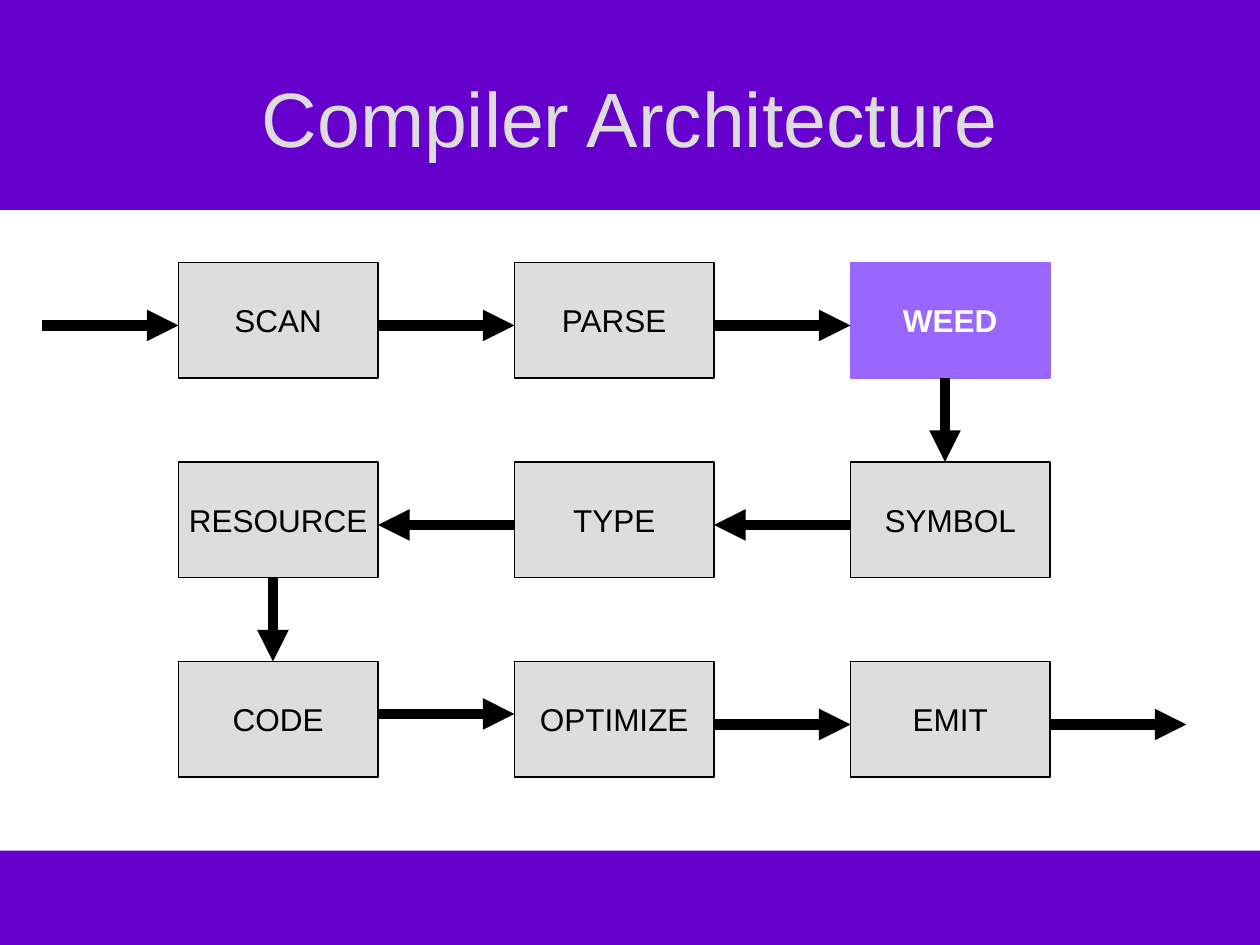
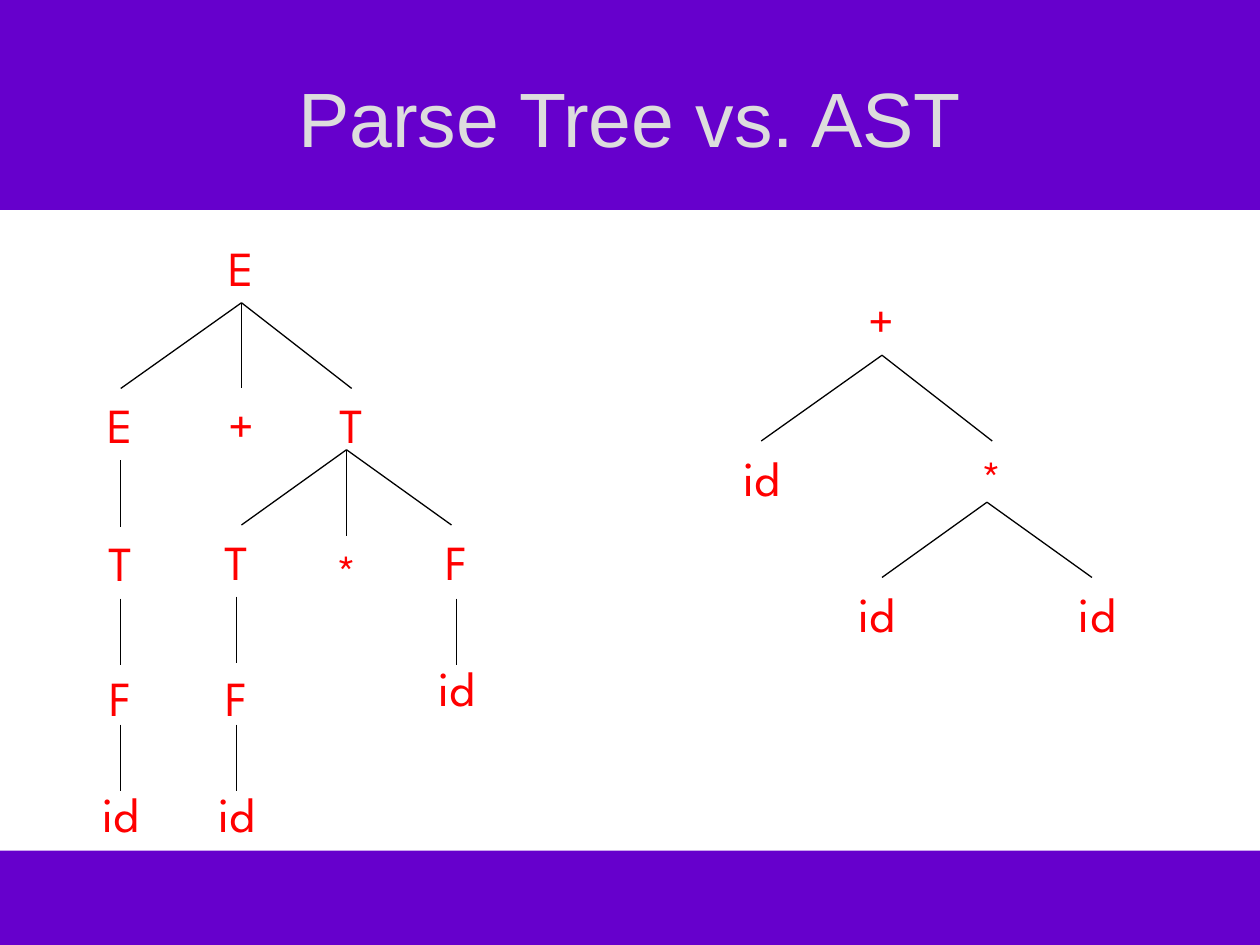
from dataclasses import dataclass

from lxml.etree import SubElement
from pptx import Presentation
from pptx.dml.color import RGBColor
from pptx.enum.shapes import MSO_CONNECTOR, MSO_SHAPE
from pptx.enum.text import MSO_ANCHOR, MSO_AUTO_SIZE, PP_ALIGN
from pptx.oxml.ns import qn
from pptx.util import Pt


@dataclass(frozen=True)
class Theme:
    band: str = "6600CC"
    title: str = "DDDDDD"
    stage: str = "DDDDDD"
    current: str = "9966FF"
    current_text: str = "FFFFFF"
    ink: str = "000000"
    symbol: str = "FF0000"
    font: str = "Arial"
    symbol_font: str = "League Spartan"
    title_size: float = 44
    stage_size: float = 18
    symbol_size: float = 28
    thin: float = 0.75
    thick: float = 6


theme = Theme()


def write_text(frame, text, *, size, color, font=theme.font, bold=False,
               anchor=MSO_ANCHOR.MIDDLE, wrap=True, before=0):
    frame.word_wrap = wrap
    frame.vertical_anchor = anchor
    para = frame.paragraphs[0]
    para.alignment = PP_ALIGN.CENTER
    para.space_before = Pt(before)
    span = para.add_run()
    span.text = text
    span.font.name = font
    span.font.size = Pt(size)
    span.font.bold = bold
    span.font.color.rgb = RGBColor.from_string(color)


def draw_line(shapes, start, end, width, arrow=False):
    line = shapes.add_connector(MSO_CONNECTOR.STRAIGHT, *map(Pt, start + end))
    line.line.width = Pt(width)
    line.line.color.rgb = RGBColor.from_string(theme.ink)
    if arrow:
        SubElement(line.line._get_or_add_ln(), qn("a:tailEnd"), type="triangle")
    SubElement(line._element.spPr, qn("a:effectLst"))


deck = Presentation()
deck.slide_width, deck.slide_height = Pt(720), Pt(540)

pages = []
for title in ("Compiler Architecture", "Parse Tree vs. AST"):
    page = deck.slides.add_slide(deck.slide_layouts[6])
    for top, height in ((486, 54), (0, 120)):
        band = page.shapes.add_shape(MSO_SHAPE.RECTANGLE, 0, Pt(top), Pt(720), Pt(height))
        band.shadow.inherit = False
        band.fill.solid()
        band.fill.fore_color.rgb = RGBColor.from_string(theme.band)
        band.line.fill.background()
    box = page.shapes.add_textbox(Pt(36), Pt(21.6), Pt(648), Pt(90))
    write_text(box.text_frame, title, size=theme.title_size, color=theme.title)
    pages.append(page)
architecture, trees = pages

stage_rows = (
    ("SCAN", "PARSE", "WEED"),
    ("RESOURCE", "TYPE", "SYMBOL"),
    ("CODE", "OPTIMIZE", "EMIT"),
)
left, top, width, height = 102, 150, 114, 66
column_step, row_step = 192, 114
gap = column_step - width

for row, names in enumerate(stage_rows):
    for column, name in enumerate(names):
        current = name == "WEED"
        box = architecture.shapes.add_shape(
            MSO_SHAPE.RECTANGLE, Pt(left + column * column_step),
            Pt(top + row * row_step), Pt(width), Pt(height))
        box.shadow.inherit = False
        box.fill.solid()
        box.fill.fore_color.rgb = RGBColor.from_string(theme.current if current else theme.stage)
        box.line.width = Pt(theme.thin)
        box.line.color.rgb = RGBColor.from_string(theme.current if current else theme.ink)
        write_text(box.text_frame, name, size=theme.stage_size, bold=current, wrap=False,
                   color=theme.current_text if current else theme.ink)

flows = ((186, (0, 1, 2), True), (300, (2, 1), False), (408, (1,), True), (414, (2, 3), True))
for y, gaps, rightward in flows:
    for index in gaps:
        ends = [(left - gap + index * column_step, y), (left + index * column_step, y)]
        start, end = ends if rightward else reversed(ends)
        draw_line(architecture.shapes, start, end, theme.thick, arrow=True)

for row, column in ((0, 2), (1, 0)):
    x = left + column * column_step + 54
    y = top + row * row_step + height
    draw_line(architecture.shapes, (x, y), (x, top + (row + 1) * row_step),
              theme.thick, arrow=True)

parse_nodes = (
    ("E", 120, 132, 36), ("E", 48, 222, 42), ("+", 120, 222, 36), ("T", 180, 222, 42),
    ("T", 42, 301, 54), ("F", 42, 378, 54), ("id", 42, 444, 54),
    ("T", 114, 300, 42), ("*", 180, 306, 36), ("F", 240, 300, 42),
    ("F", 108, 378, 54), ("id", 108, 444, 54), ("id", 234, 372, 54),
)
parse_branches = (
    ((138, 173), ((69, 222), (138, 222), (201, 222))),
    ((198, 257), ((138, 300), (198, 306), (258, 300))),
    ((69, 263), ((69, 301),)),
    ((69, 342), ((69, 380),)),
    ((69, 414), ((69, 452),)),
    ((135, 341), ((135, 379),)),
    ((135, 414), ((135, 452),)),
    ((261, 342), ((261, 380),)),
)
syntax_nodes = (
    ("+", 486, 162, 36), ("id", 414, 252, 42), ("*", 546, 252, 42),
    ("id", 480, 330, 42), ("id", 606, 330, 42),
)
syntax_branches = (
    ((504, 203), ((435, 252), (567, 252))),
    ((564, 287), ((504, 330), (624, 330))),
)

for nodes, branches in ((parse_nodes, parse_branches), (syntax_nodes, syntax_branches)):
    tree = trees.shapes.add_group_shape()
    for symbol, x, y, node_width in nodes:
        box = tree.shapes.add_textbox(Pt(x), Pt(y), Pt(node_width), Pt(41))
        box.text_frame.auto_size = MSO_AUTO_SIZE.SHAPE_TO_FIT_TEXT
        write_text(box.text_frame, symbol, size=theme.symbol_size, color=theme.symbol,
                   font=theme.symbol_font, anchor=MSO_ANCHOR.TOP, before=17.5)
    for parent, children in branches:
        for child in children:
            draw_line(tree.shapes, parent, child, theme.thin)

deck.save("out.pptx")
